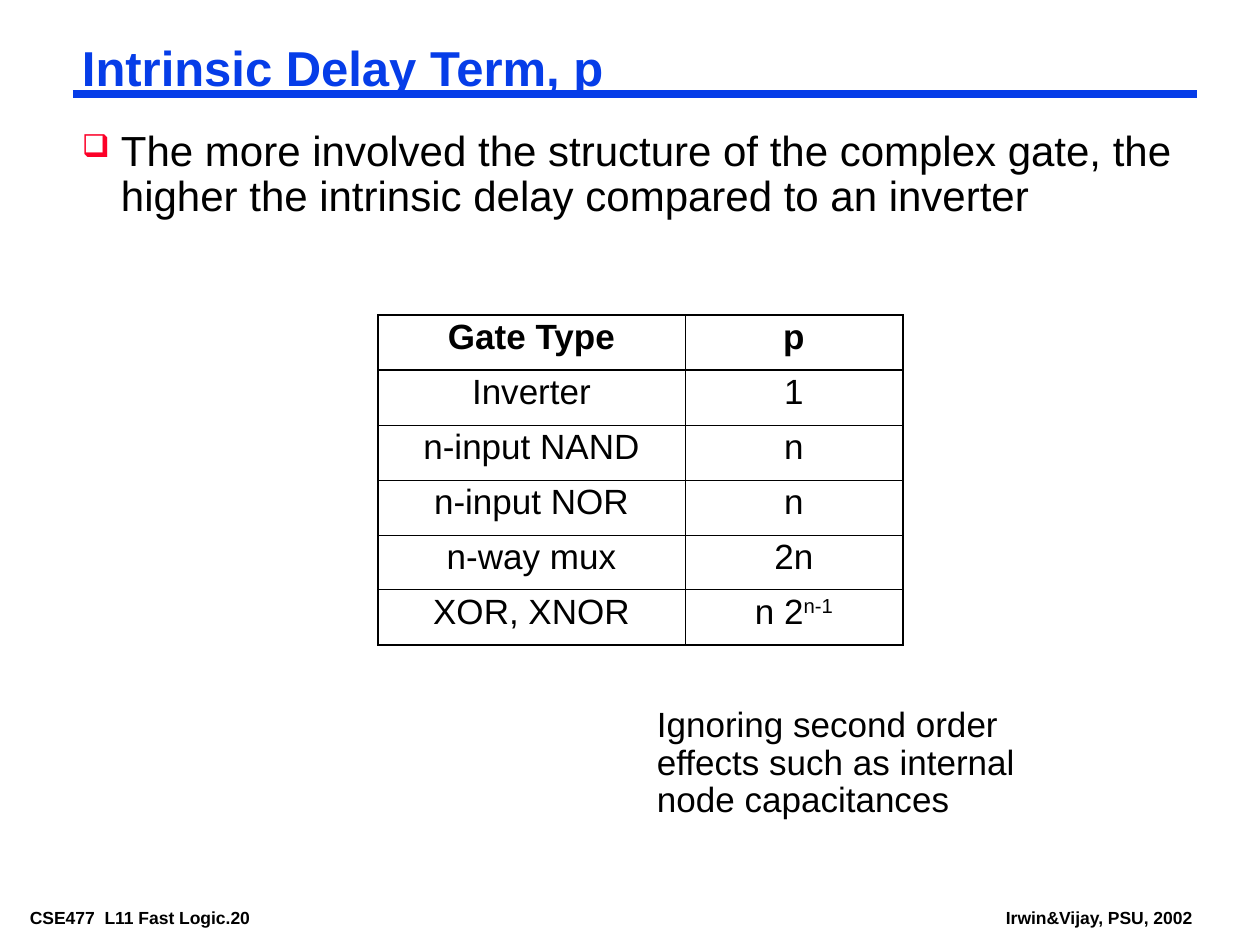
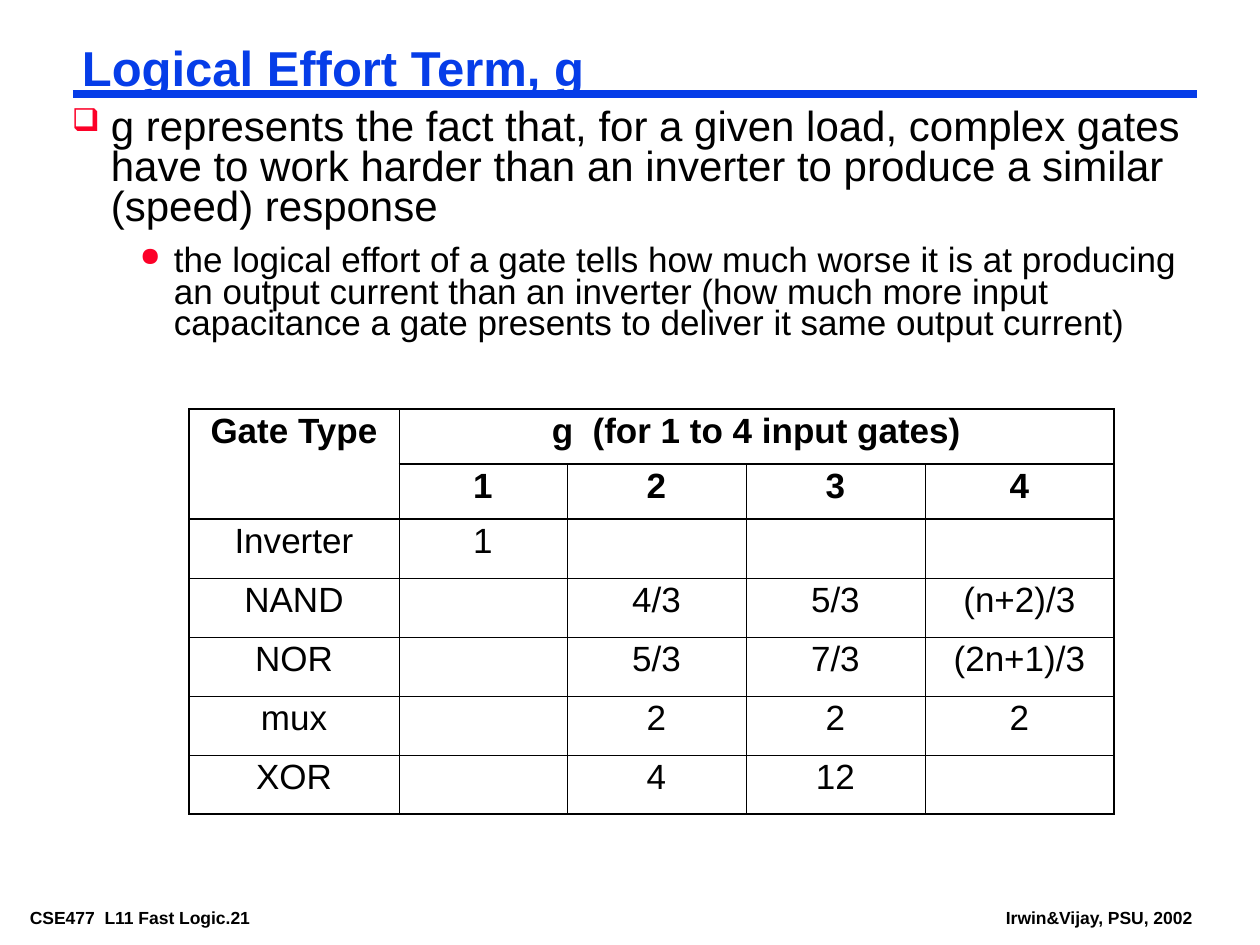
from lxml import etree
from pptx import Presentation
from pptx.dml.color import RGBColor
from pptx.enum.shapes import MSO_CONNECTOR as Connector
from pptx.enum.text import MSO_ANCHOR as Anchor, MSO_AUTO_SIZE as AutoSize, PP_ALIGN as Align
from pptx.oxml.ns import qn
from pptx.util import Emu, Pt

EMU_PER_PX = 914400 / 126
BLUE = RGBColor(0x06, 0x3D, 0xE8)
RED = RGBColor(0xFC, 0x01, 0x28)
BLACK = RGBColor(0x00, 0x00, 0x00)
FONT = "Arial"
THIN, THICK = Pt(0.45), Pt(1.08)
TITLE_BOX = (73, 42, 1124, 58)
RULE_LEFT, RULE_RIGHT, RULE_Y = 73, 1197, 94
FOOTER_TOP, FOOTER_HEIGHT = 903, 28

# Paragraph styles: size, bold, colour, line spacing, left margin, first-line indent, bullet, space before
TITLE = dict(size=28, bold=True, color=BLUE, spacing=0.87)
FOOTER = dict(size=10, bold=True)
POINT = dict(size=24, spacing=0.9, margin=39, indent=-39, bullet="❑")
TIGHT_POINT = POINT | dict(spacing=0.8)
SUBPOINT = dict(size=20, spacing=0.75, margin=102, indent=-34, bullet="●", before=10)
NOTE = dict(size=20, spacing=0.9, margin=39)

SLIDES = [
    dict(
        title="Intrinsic Delay Term, p",
        number=20,
        texts=[
            ((73, 126, 1113, 98), [
                ("The more involved the structure of the complex gate, the higher "
                 "the intrinsic delay compared to an inverter", POINT)]),
            ((609, 703, 494, 121), [
                ("Ignoring second order effects such as internal node capacitances", NOTE)]),
        ],
        table_at=(378, 315),
        columns=[307, 218],
        header_rows=1,
        header_height=55,
        body_height=55,
        merges=[],
        cells=[
            ["Gate Type", "p"],
            ["Inverter", "1"],
            ["n-input NAND", "n"],
            ["n-input NOR", "n"],
            ["n-way mux", "2n"],
            ["XOR, XNOR", "n 2^n-1"],
        ],
    ),
    dict(
        title="Logical Effort Term, g",
        number=21,
        texts=[
            ((63, 105, 1134, 268), [
                ("g represents the fact that, for a given load, complex gates have to work "
                 "harder than an inverter to produce a similar (speed) response", TIGHT_POINT),
                ("the logical effort of a gate tells how much worse it is at producing an output "
                 "current than an inverter (how much more input capacitance a gate presents "
                 "to deliver it same output current)", SUBPOINT)]),
        ],
        table_at=(189, 409),
        columns=[210, 168, 179, 179, 189],
        header_rows=2,
        header_height=55,
        body_height=59,
        merges=[((0, 0), (1, 0)), ((0, 1), (0, 4))],
        cells=[
            ["Gate Type", "g  (for 1 to 4 input gates)", "", "", ""],
            ["", "1", "2", "3", "4"],
            ["Inverter", "1", "", "", ""],
            ["NAND", "", "4/3", "5/3", "(n+2)/3"],
            ["NOR", "", "5/3", "7/3", "(2n+1)/3"],
            ["mux", "", "2", "2", "2"],
            ["XOR", "", "4", "12", ""],
        ],
    ),
]


def px(*lengths):
    return [Emu(round(length * EMU_PER_PX)) for length in lengths]


def write_text(frame, paragraphs):
    """Fill a text frame with (text, style) paragraphs; ^ starts a superscript."""
    for index, (text, style) in enumerate(paragraphs):
        paragraph = frame.paragraphs[0] if index == 0 else frame.add_paragraph()
        formats = dict(alignment=style.get("align", Align.LEFT),
                       line_spacing=style.get("spacing", 1.0),
                       space_before=Pt(style.get("before", 0)))
        for name, value in formats.items():
            setattr(paragraph, name, value)

        properties = paragraph._p.get_or_add_pPr()
        for name, key in (("marL", "margin"), ("indent", "indent")):
            properties.set(name, str(px(style.get(key, 0))[0]))
        if "bullet" in style:
            color = etree.SubElement(properties, qn("a:buClr"))
            etree.SubElement(color, qn("a:srgbClr"), val=str(RED))
            etree.SubElement(properties, qn("a:buSzPct"), val="75000")
            etree.SubElement(properties, qn("a:buChar"), char=style["bullet"])

        base, _, superscript = text.partition("^")
        for part in filter(None, (base, superscript)):
            run = paragraph.add_run()
            run.text = part
            for name, value in dict(name=FONT, size=Pt(style["size"]),
                                    bold=style.get("bold", False)).items():
                setattr(run.font, name, value)
            run.font.color.rgb = style.get("color", BLACK)
            if part is superscript:
                run._r.get_or_add_rPr().set("baseline", "30000")


presentation = Presentation()
presentation.slide_width, presentation.slide_height = px(1260, 945)
title_only = presentation.slide_layouts[5]
inset_x, inset_y = px(9, 4)
frame_format = dict(margin_left=inset_x, margin_right=inset_x, margin_top=inset_y,
                    margin_bottom=inset_y, word_wrap=True, auto_size=AutoSize.NONE,
                    vertical_anchor=Anchor.TOP)

for content in SLIDES:
    slide = presentation.slides.add_slide(title_only)

    # Blue rule under the title
    rule = slide.shapes.add_connector(
        Connector.STRAIGHT, *px(RULE_LEFT, RULE_Y, RULE_RIGHT, RULE_Y))
    rule.line.color.rgb = BLUE
    rule.line.width = Pt(4.5)
    etree.SubElement(rule._element.spPr, qn("a:effectLst"))

    # Title, body texts and footers
    title = slide.shapes.title
    title.left, title.top, title.width, title.height = px(*TITLE_BOX)
    footers = [
        ((21, FOOTER_TOP, 304, FOOTER_HEIGHT),
         [(f"CSE477  L11 Fast Logic.{content['number']}", FOOTER)]),
        ((997, FOOTER_TOP, 215, FOOTER_HEIGHT), [("Irwin&Vijay, PSU, 2002", FOOTER)]),
    ]
    blocks = [(title, [(content["title"], TITLE)])]
    for box, paragraphs in content["texts"] + footers:
        blocks.append((slide.shapes.add_textbox(*px(*box)), paragraphs))
    for shape, paragraphs in blocks:
        for name, value in frame_format.items():
            setattr(shape.text_frame, name, value)
        write_text(shape.text_frame, paragraphs)

    # Gate table
    cells, columns, header_rows = content["cells"], content["columns"], content["header_rows"]
    heights = [content["header_height"] if row < header_rows else content["body_height"]
               for row in range(len(cells))]
    table = slide.shapes.add_table(
        len(cells), len(columns),
        *px(*content["table_at"], sum(columns), sum(heights))).table
    table.first_row = table.horz_banding = False
    for column, width in zip(table.columns, px(*columns)):
        column.width = width
    for row, height in zip(table.rows, px(*heights)):
        row.height = height
    for first, last in content["merges"]:
        table.cell(*first).merge(table.cell(*last))

    for row, texts in enumerate(cells):
        for column, text in enumerate(texts):
            cell = table.cell(row, column)
            cell_style = dict(size=20, spacing=0.9, align=Align.CENTER, bold=row < header_rows)
            write_text(cell.text_frame, [(text, cell_style)])
            thick_edges = dict(
                lnL=column == 0,
                lnR=column + cell.span_width == len(columns),
                lnT=row <= header_rows,
                lnB=row < header_rows or row == len(cells) - 1)
            cell_properties = cell._tc.get_or_add_tcPr()
            for edge, thick in thick_edges.items():
                border = etree.SubElement(cell_properties, qn(f"a:{edge}"),
                                          w=str(THICK if thick else THIN))
                fill = etree.SubElement(border, qn("a:solidFill"))
                etree.SubElement(fill, qn("a:srgbClr"), val=str(BLACK))
            cell.fill.background()

presentation.save("out.pptx")
